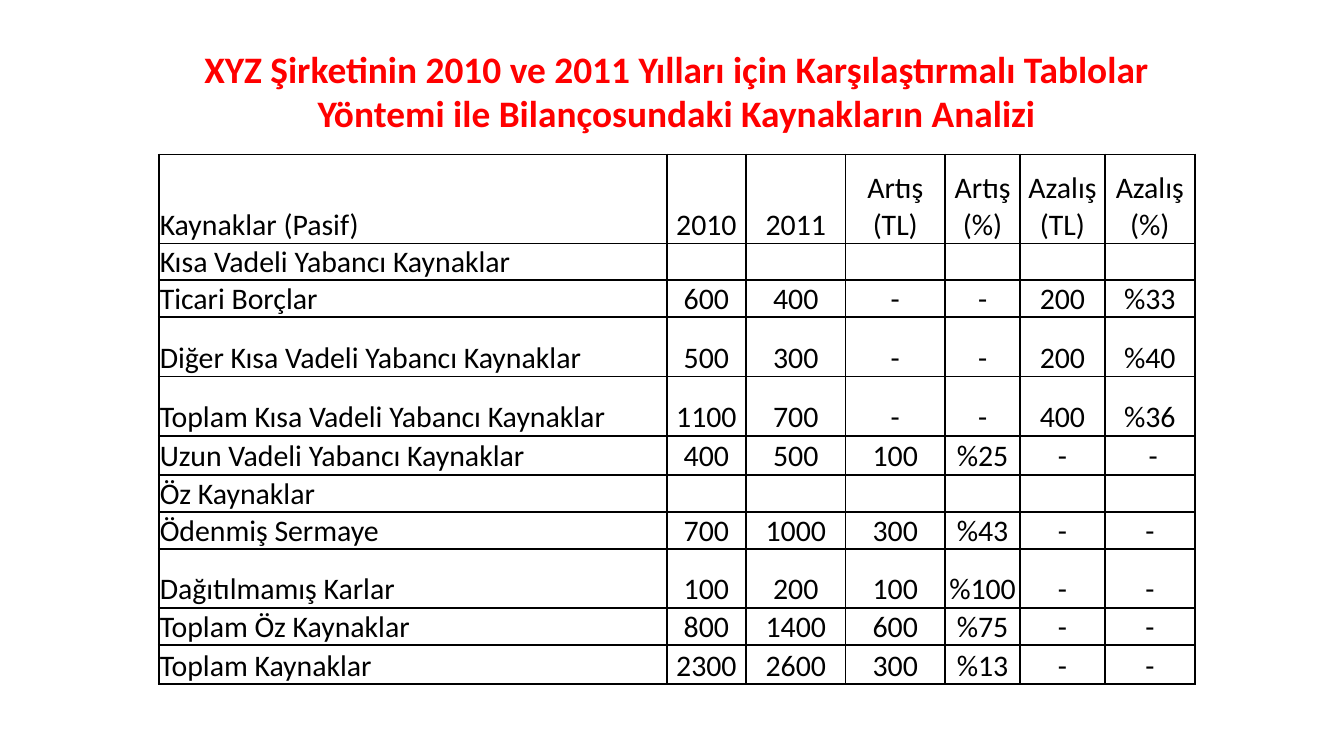
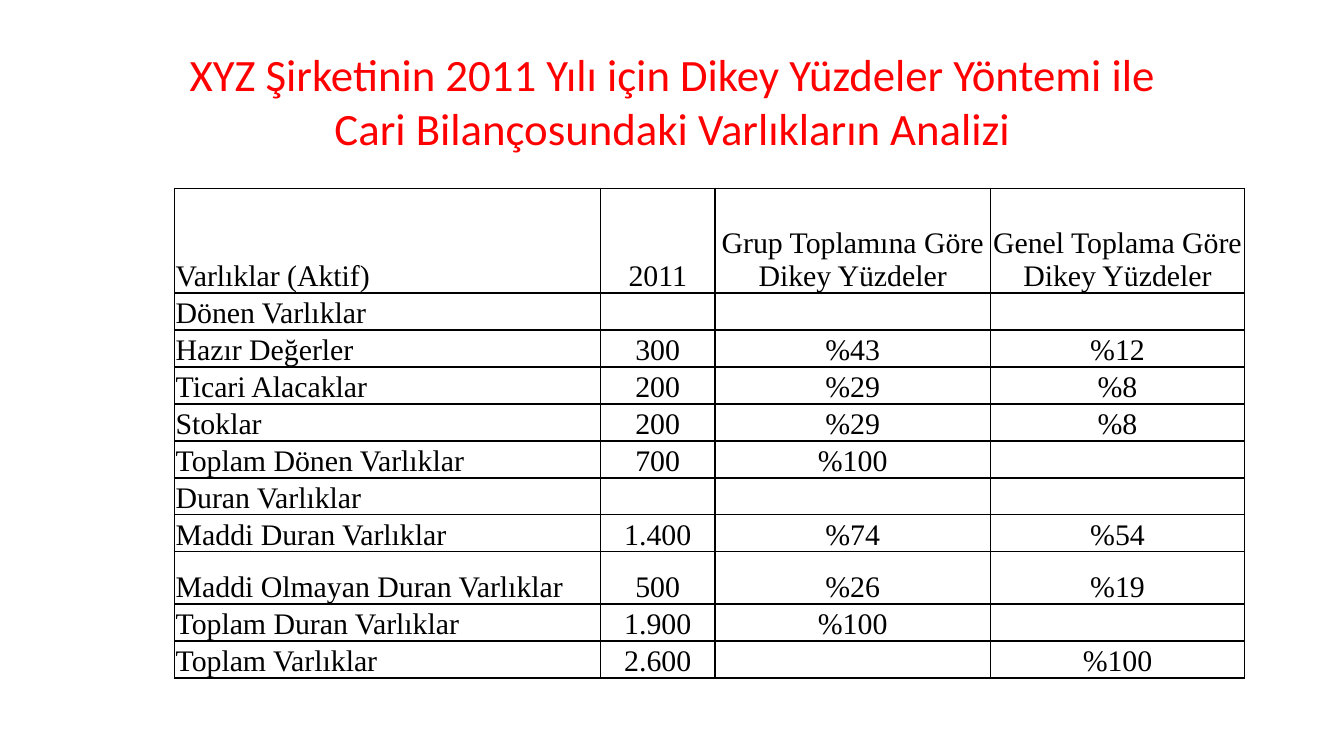
from lxml import etree
from pptx import Presentation
from pptx import util as u
from pptx.dml.color import RGBColor
from pptx.enum import text
from pptx.oxml import ns

RED = RGBColor(0xFF, 0x00, 0x00)
BLACK = RGBColor(0x00, 0x00, 0x00)
SANS = "Calibri"
SERIF = "Times New Roman"


class Deck:
    """Holds the shared style and the current slide."""

    def __init__(self):
        self.prs = Presentation()
        self.prs.slide_width = u.Cm(25.4)
        self.prs.slide_height = u.Cm(14.29)
        self.slide = None

    def page(self):
        self.slide = self.prs.slides.add_slide(self.prs.slide_layouts[6])

    def run(self, para, words, size, face, color, bold=False):
        run = para.add_run()
        run.text = words
        font = run.font
        font.size, font.name, font.bold = u.Pt(size), face, bold
        font.color.rgb = color

    def title(self, box, words, size, bold=False, anchor=text.MSO_ANCHOR.TOP):
        frame = self.slide.shapes.add_textbox(*map(u.Cm, box)).text_frame
        frame.word_wrap = True
        frame.auto_size = text.MSO_AUTO_SIZE.SHAPE_TO_FIT_TEXT
        frame.vertical_anchor = anchor
        para = frame.paragraphs[0]
        para.alignment = text.PP_ALIGN.CENTER
        self.run(para, words, size, SANS, RED, bold)

    def border(self, cell):
        props = cell._tc.get_or_add_tcPr()
        for side in ("lnL", "lnR", "lnT", "lnB"):
            line = etree.SubElement(props, ns.qn("a:" + side), w=str(u.Pt(1)))
            fill = etree.SubElement(line, ns.qn("a:solidFill"))
            etree.SubElement(fill, ns.qn("a:srgbClr"), val=str(BLACK))

    def cell(self, cell, words, face, align, size=16):
        cell.margin_left = cell.margin_right = cell.margin_top = u.Cm(0.02)
        cell.margin_bottom = 0
        cell.vertical_anchor = text.MSO_ANCHOR.BOTTOM
        self.border(cell)
        cell.fill.background()
        para = cell.text_frame.paragraphs[0]
        para.alignment = align
        if words:
            self.run(para, words, size, face, BLACK)
        else:
            # Keep empty cells from stretching their row
            etree.SubElement(para._p, ns.qn("a:endParaRPr"), sz=str(size * 100))

    def table(self, box, cols, rows, data, face):
        frame = self.slide.shapes.add_table(len(rows), len(cols), *map(u.Cm, box))
        table = frame.table
        table.first_row = table.horz_banding = False
        for col, width in zip(table.columns, cols):
            col.width = u.Cm(width)
        for row, height in zip(table.rows, rows):
            row.height = u.Cm(height)
        frame.height = u.Cm(box[3])
        for r, line in enumerate(data):
            # Group headings have a label only
            line = line + ("",) * (len(cols) - len(line))
            for c, words in enumerate(line):
                align = text.PP_ALIGN.CENTER if c else text.PP_ALIGN.LEFT
                self.cell(table.cell(r, c), words, face, align)


FUNDS = [
    ("Kaynaklar (Pasif)", "2010", "2011", "Artış (TL)", "Artış (%)", "Azalış (TL)", "Azalış (%)"),
    ("Kısa Vadeli Yabancı Kaynaklar",),
    ("Ticari Borçlar", "600", "400", "-", "-", "200", "%33"),
    ("Diğer Kısa Vadeli Yabancı Kaynaklar", "500", "300", "-", "-", "200", "%40"),
    ("Toplam Kısa Vadeli Yabancı Kaynaklar", "1100", "700", "-", "-", "400", "%36"),
    ("Uzun Vadeli Yabancı Kaynaklar", "400", "500", "100", "%25", "-", " -"),
    ("Öz Kaynaklar",),
    ("Ödenmiş Sermaye", "700", "1000", "300", "%43", "-", "-"),
    ("Dağıtılmamış Karlar", "100", "200", "100", "%100", "-", "-"),
    ("Toplam Öz Kaynaklar", "800", "1400", "600", "%75", "-", "-"),
    ("Toplam Kaynaklar", "2300", "2600", "300", "%13", "-", "-"),
]

ASSETS = [
    ("Varlıklar (Aktif)", "2011", "Grup Toplamına Göre Dikey Yüzdeler",
     "Genel Toplama Göre Dikey Yüzdeler"),
    ("Dönen Varlıklar",),
    ("Hazır Değerler", "300", "%43", "%12"),
    ("Ticari Alacaklar", "200", "%29", "%8"),
    ("Stoklar", "200", "%29", "%8"),
    ("Toplam Dönen Varlıklar", "700", "%100"),
    ("Duran Varlıklar",),
    ("Maddi Duran Varlıklar", "1.400", "%74", "%54"),
    ("Maddi Olmayan Duran Varlıklar", "500", "%26", "%19"),
    ("Toplam Duran Varlıklar", "1.900", "%100"),
    ("Toplam Varlıklar", "2.600", "", "%100"),
]


def main():
    deck = Deck()

    # Sources, compared over two years
    deck.page()
    deck.title((2.49, 0.74, 20.6, 1.96),
               "XYZ Şirketinin 2010 ve 2011 Yılları için Karşılaştırmalı Tablolar "
               "Yöntemi ile Bilançosundaki Kaynakların Analizi", 20, bold=True)
    low, mid, tall = 0.58, 0.74, 1.12
    deck.table((3, 2.92, 19.61, 10.08),
               (9.6, 1.5, 1.88, 1.88, 1.42, 1.6, 1.7),
               (1.68, low, low, tall, tall, mid, low, low, tall, low, mid),
               FUNDS, SANS)

    # Assets, as vertical percentages
    deck.page()
    deck.title((2.9, 0.74, 19.61, 2.31),
               "XYZ Şirketinin 2011 Yılı için Dikey Yüzdeler Yöntemi ile "
               "Cari Bilançosundaki Varlıkların Analizi", 24,
               anchor=text.MSO_ANCHOR.MIDDLE)
    deck.table((3.3, 3.56, 20.2, 9.32),
               (8.05, 2.16, 5.21, 4.8),
               (1.98, *[0.64] * 7, 0.99, 0.64, 0.64),
               ASSETS, SERIF)

    deck.prs.save("out.pptx")


if __name__ == "__main__":
    main()
